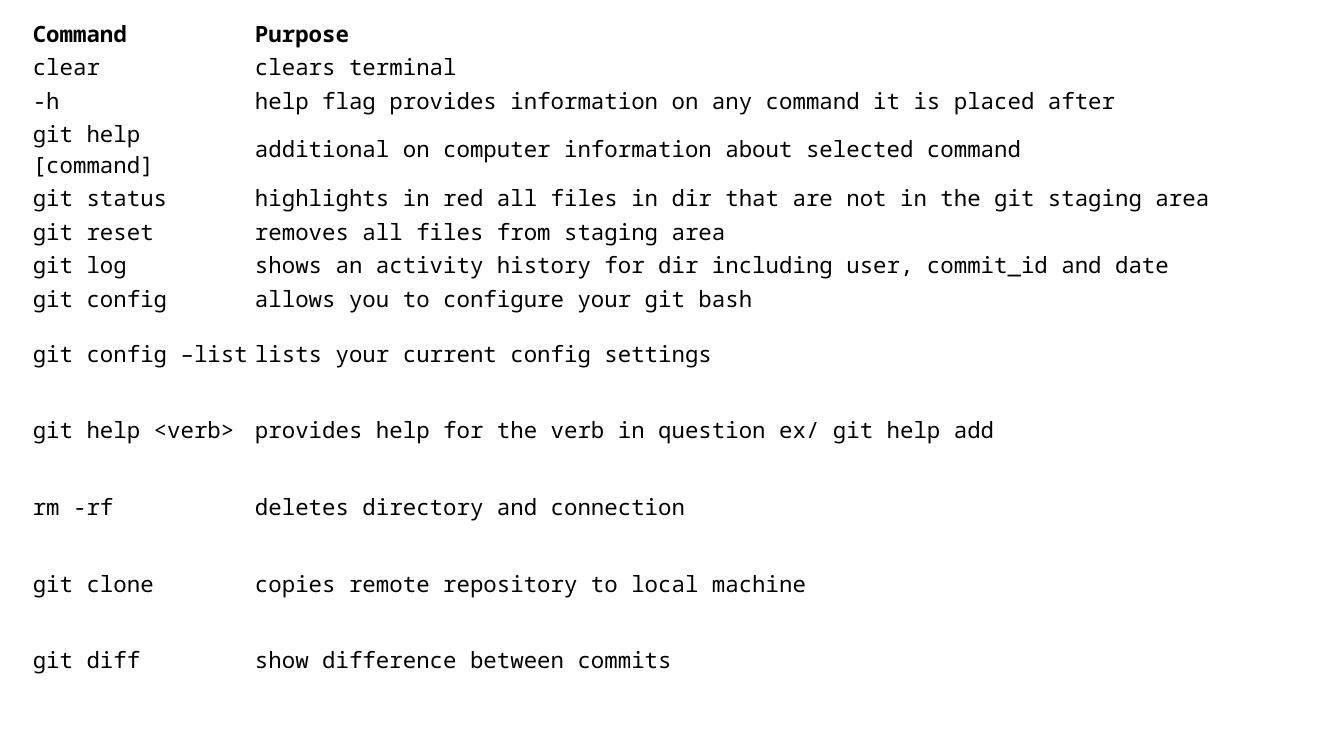
from dataclasses import dataclass

import pptx
import pptx.dml.color
import pptx.enum.text
import pptx.util

Inches = pptx.util.Inches


@dataclass(frozen=True)
class Theme:
    """Colours, type and cell measures of the command sheet."""
    ink: pptx.dml.color.RGBColor = pptx.dml.color.RGBColor(0, 0, 0)
    font: str = "Noto Sans Mono"
    size: pptx.util.Length = pptx.util.Pt(32)
    side_margin: pptx.util.Length = Inches(0.06)
    end_margin: pptx.util.Length = Inches(0.03)
    compact_row: pptx.util.Length = Inches(0.21)
    tall_row: pptx.util.Length = Inches(1.52)


THEME = Theme()
HEADINGS = ("Command", "Purpose")
BASIC_COMMANDS = [
    ("clear", "clears terminal"),
    ("-h", "help flag provides information on any command it is placed after"),
    ("git help [command]", "additional on computer information about selected command"),
    ("git status", "highlights in red all files in dir that are not in the git staging area"),
    ("git reset", "removes all files from staging area"),
    ("git log", "shows an activity history for dir including user, commit_id and date"),
    ("git config", "allows you to configure your git bash"),
]
FURTHER_COMMANDS = [
    ("git config –list", "lists your current config settings"),
    ("git help <verb>", "provides help for the verb in question ex/ git help add"),
    ("rm -rf", "deletes directory and connection"),
    ("git clone", "copies remote repository to local machine"),
    ("git diff", "show difference between commits"),
]


def write_cell(cell, text, bold):
    """Fill one table cell with plain text."""
    cell.fill.background()
    cell.vertical_anchor = pptx.enum.text.MSO_ANCHOR.MIDDLE
    cell.margin_left = cell.margin_right = THEME.side_margin
    cell.margin_top = cell.margin_bottom = THEME.end_margin
    cell.text = text
    font = cell.text_frame.paragraphs[0].font
    font.name, font.size, font.bold = THEME.font, THEME.size, bold
    font.color.rgb = THEME.ink


def add_command_table(page, left, top, width, height, command_width):
    """Place the table of commands and purposes in the given box."""
    compact = [HEADINGS] + BASIC_COMMANDS
    entries = compact + FURTHER_COMMANDS
    frame = page.shapes.add_table(len(entries), len(HEADINGS), left, top, width, height)
    table = frame.table
    table.first_row = table.horz_banding = False
    table.columns[0].width = command_width
    table.columns[1].width = width - command_width
    for index, entry in enumerate(entries):
        table.rows[index].height = THEME.compact_row if index < len(compact) else THEME.tall_row
        for column, text in enumerate(entry):
            write_cell(table.cell(index, column), text, bold=index == 0)
    frame.height = height


def main():
    """Build and save the command sheet."""
    deck = pptx.Presentation()
    deck.slide_width, deck.slide_height = Inches(26.67), Inches(15)
    page = deck.slides.add_slide(deck.slide_layouts[6])
    add_command_table(page, Inches(0.59), Inches(0.33), Inches(24.56), Inches(12.88), Inches(4.41))
    deck.save("out.pptx")


if __name__ == "__main__":
    main()
